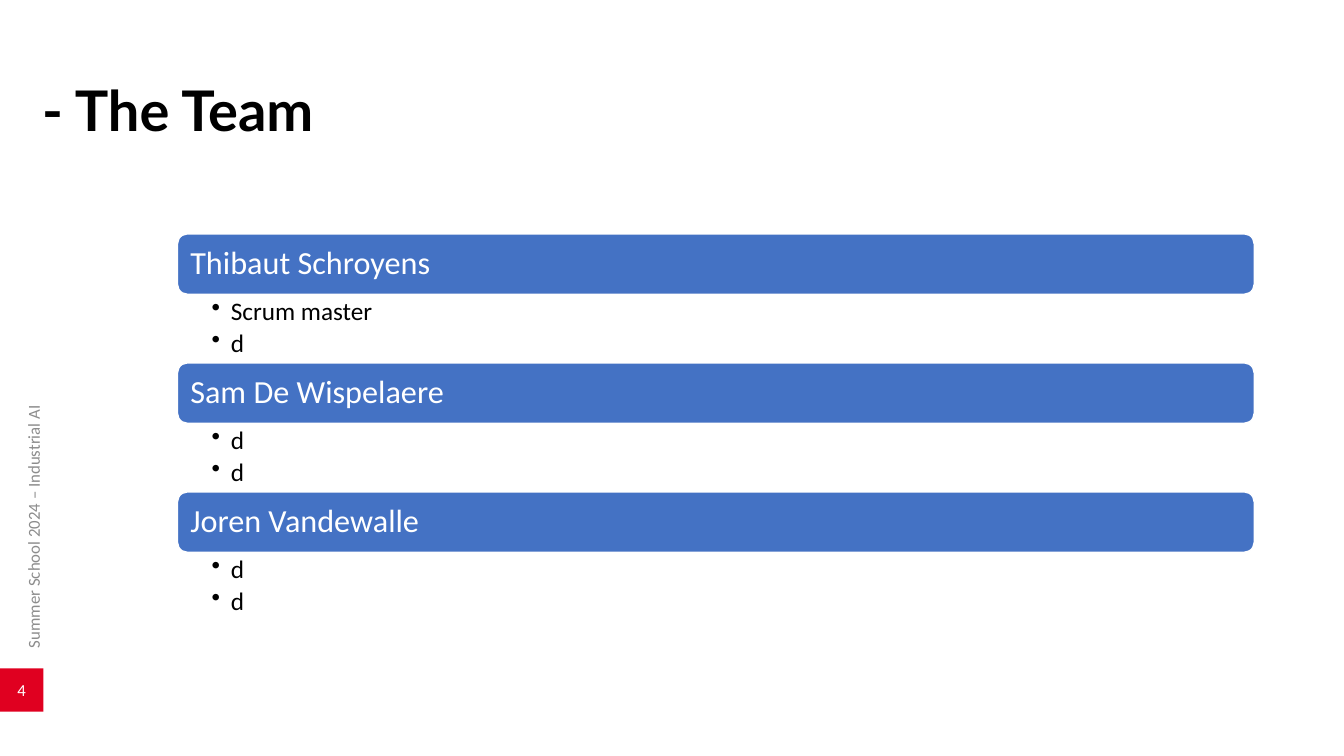
from pptx import Presentation
from pptx.dml.color import RGBColor
from pptx.enum.shapes import MSO_SHAPE
from pptx.enum.text import MSO_ANCHOR, PP_ALIGN
from pptx.util import Pt
from lxml.etree import SubElement
from pptx.oxml.ns import qn

BLACK = RGBColor(0x00, 0x00, 0x00)
WHITE = RGBColor(0xFF, 0xFF, 0xFF)
GRAY = RGBColor(0x8C, 0x8C, 0x8C)
RED = RGBColor(0xE0, 0x00, 0x20)
BLUE = RGBColor(0x44, 0x72, 0xC4)
SCALE = 9144

TEAM = [
    ("Thibaut Schroyens", ["Scrum master", "d"]),
    ("Sam De Wispelaere", ["d", "d"]),
    ("Joren Vandewalle", ["d", "d"]),
]


class Deck:
    font = "Calibri"

    def __init__(self, width, height):
        self.file = Presentation()
        self.file.slide_width = width * SCALE
        self.file.slide_height = height * SCALE
        self.slide = self.file.slides.add_slide(self.file.slide_layouts[6])

    def place(self, at):
        return [px * SCALE for px in at]

    def shape(self, kind, at, fill, line=None):
        item = self.slide.shapes.add_shape(kind, *self.place(at))
        item.shadow.inherit = False
        item.fill.solid()
        item.fill.fore_color.rgb = fill
        if line is None:
            item.line.fill.background()
        else:
            item.line.color.rgb = line
            item.line.width = Pt(1)
        return item

    def frame(self, item, pads, anchor=MSO_ANCHOR.TOP, wrap=True):
        frame = item.text_frame
        frame.word_wrap = wrap
        frame.vertical_anchor = anchor
        (frame.margin_left, frame.margin_top,
         frame.margin_right, frame.margin_bottom) = self.place(pads)
        return frame

    def box(self, at, pads, anchor=MSO_ANCHOR.TOP, wrap=True):
        item = self.slide.shapes.add_textbox(*self.place(at))
        return self.frame(item, pads, anchor, wrap)

    def label(self, para, text, size, color, font=None, bold=False,
              align=PP_ALIGN.LEFT, space=1.0):
        para.alignment = align
        para.line_spacing = space
        run = para.add_run()
        run.text = text
        run.font.name = font or self.font
        run.font.size = Pt(size)
        run.font.bold = bold
        run.font.color.rgb = color

    def title(self, text):
        frame = self.box((32, 40, 1150, 145), (10, 5, 10, 5), MSO_ANCHOR.MIDDLE)
        self.label(frame.paragraphs[0], text, 40, BLACK, "Lato", True, space=0.9)

    def footer(self, text):
        frame = self.box((15, 392, 28, 271), (8, 8, 0, 20), wrap=False)
        frame._txBody.bodyPr.set("vert", "vert270")
        self.label(frame.paragraphs[0], text, 12, GRAY)

    def number(self, text):
        item = self.shape(MSO_SHAPE.RECTANGLE, (0, 663, 43, 43), RED)
        frame = self.frame(item, (4, 0, 4, 0), MSO_ANCHOR.MIDDLE, False)
        self.label(frame.paragraphs[0], text, 12, WHITE, align=PP_ALIGN.CENTER)

    def bar(self, top, text):
        item = self.shape(MSO_SHAPE.ROUNDED_RECTANGLE, (176, top, 1068, 60), BLUE, WHITE)
        frame = self.frame(item, (10, 10, 10, 10), MSO_ANCHOR.MIDDLE)
        self.label(frame.paragraphs[0], text, 23, WHITE, space=0.9)

    def bullets(self, top, lines):
        frame = self.box((176, top, 1068, 68), (34, 3, 18, 3))
        for i, text in enumerate(lines):
            para = frame.add_paragraph() if i else frame.paragraphs[0]
            para.level = 1
            para.space_after = Pt(3.6)
            props = para._p.get_or_add_pPr()
            props.set("marL", str(19 * SCALE))
            props.set("indent", str(-19 * SCALE))
            SubElement(props, qn("a:buChar")).set("char", "•")
            self.label(para, text, 18, BLACK, space=0.9)


def main():
    deck = Deck(1333, 750)
    deck.footer("Summer School 2024 – Industrial AI")
    deck.number("4")
    deck.title("- The Team")
    for i, (name, lines) in enumerate(TEAM):
        top = 232 + 128 * i
        deck.bar(top, name)
        deck.bullets(top + 61, lines)
    deck.file.save("out.pptx")


if __name__ == "__main__":
    main()
